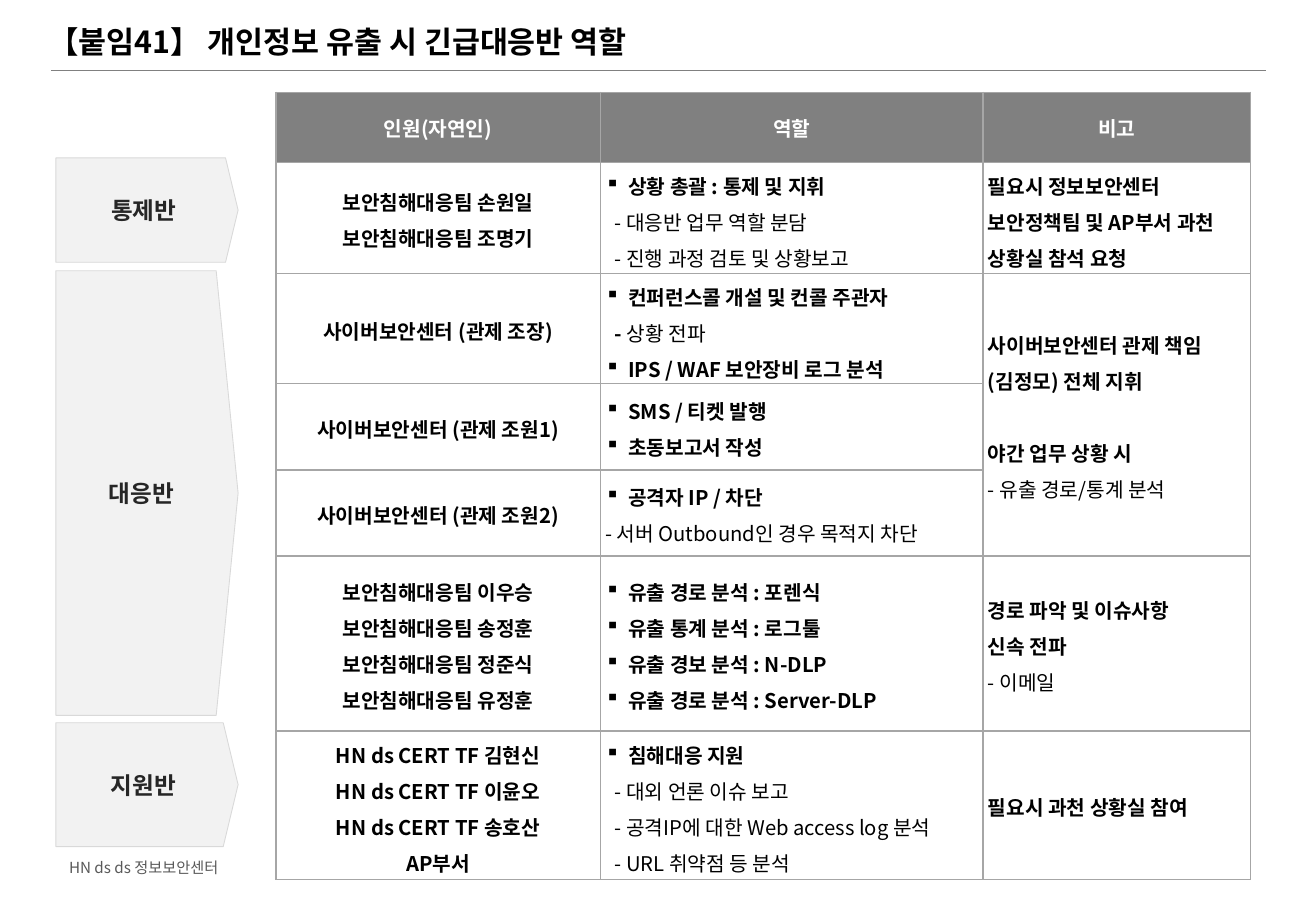
from dataclasses import dataclass

from lxml.etree import SubElement
from pptx import Presentation
from pptx.dml.color import RGBColor
from pptx.enum.shapes import MSO_CONNECTOR, MSO_SHAPE
from pptx.enum.text import MSO_ANCHOR, PP_ALIGN
from pptx.oxml.ns import qn
from pptx.util import Inches, Pt


@dataclass(frozen=True)
class Theme:
    font: str = "Noto Sans CJK KR"
    title_size: int = 18
    team_size: int = 14
    body_size: int = 12
    footer_size: int = 9
    black: str = "000000"
    white: str = "FFFFFF"
    grey: str = "808080"
    border: str = "A6A6A6"
    team_fill: str = "F2F2F2"
    team_line: str = "D9D9D9"
    team_text: str = "262626"
    footer_text: str = "595959"


@dataclass(frozen=True)
class Line:
    """One paragraph of a cell; lead is a bold start before the text."""
    text: str
    bold: bool = True
    bullet: bool = False
    indent: float = 0
    lead: str = ""
    before: float = 2


THEME = Theme()
BULLET_INDENT = 0.19


def point(text):
    return Line(text, bullet=True)


def detail(text, indent=0.08, lead=""):
    return Line(text, bold=False, indent=indent, lead=lead)


def names(*people):
    return [Line(person) for person in people]


HEADINGS = ["인원(자연인)", "역할", "비고"]
COLUMN_WIDTHS = [2.67, 3.15, 2.2]
ROW_HEIGHTS = [0.58, 0.91, 0.91, 0.71, 0.71, 1.44, 1.22]
NIGHT_REMARK_ROWS = (2, 4)
ROLES = [
    [names("보안침해대응팀 손원일", "보안침해대응팀 조명기"),
     [point("상황 총괄 : 통제 및 지휘"),
      detail("- 대응반 업무 역할 분담"),
      detail("- 진행 과정 검토 및 상황보고")],
     [Line("필요시 정보보안센터"), Line("보안정책팀 및 AP부서 과천"),
      Line("상황실 참석 요청")]],
    [names("사이버보안센터 (관제 조장)"),
     [point("컨퍼런스콜 개설 및 컨콜 주관자"),
      detail("상황 전파", lead="- "),
      point("IPS / WAF 보안장비 로그 분석")],
     [Line("사이버보안센터 관제 책임"), Line("(김정모) 전체 지휘"),
      Line("야간 업무 상황 시", before=23.4),
      detail("- 유출 경로/통계 분석", indent=0)]],
    [names("사이버보안센터 (관제 조원1)"),
     [point("SMS / 티켓 발행"), point("초동보고서 작성")],
     []],
    [names("사이버보안센터 (관제 조원2)"),
     [point("공격자 IP / 차단"),
      detail("- 서버 Outbound인 경우 목적지 차단", indent=0)],
     []],
    [names("보안침해대응팀 이우승", "보안침해대응팀 송정훈",
           "보안침해대응팀 정준식", "보안침해대응팀 유정훈"),
     [point("유출 경로 분석 : 포렌식"), point("유출 통계 분석 : 로그툴"),
      point("유출 경보 분석 : N-DLP"), point("유출 경로 분석 : Server-DLP")],
     [Line("경로 파악 및 이슈사항"), Line("신속 전파"),
      detail("- 이메일", indent=0)]],
    [names("HN ds CERT TF 김현신", "HN ds CERT TF 이윤오",
           "HN ds CERT TF 송호산", "AP부서"),
     [point("침해대응 지원"),
      detail("- 대외 언론 이슈 보고"),
      detail("- 공격IP에 대한 Web access log 분석"),
      detail("- URL 취약점 등 분석")],
     [Line("필요시 과천 상황실 참여")]],
]
TEAMS = [("통제반", 1.3, 0.86), ("대응반", 2.23, 3.66), ("지원반", 5.95, 1.02)]


def rgb(value):
    return RGBColor.from_string(value)


def add_text(paragraph, text, *, size, color=THEME.black, bold=False, align=None):
    if align is not None:
        paragraph.alignment = align
    run = paragraph.add_run()
    run.text = text
    run.font.size = Pt(size)
    run.font.bold = bold
    run.font.color.rgb = rgb(color)
    run.font.name = THEME.font
    SubElement(run.font._element, qn("a:ea"), typeface=THEME.font)


def add_label(slide, box, text, **text_format):
    frame = slide.shapes.add_textbox(*map(Inches, box)).text_frame
    frame.word_wrap = True
    frame.vertical_anchor = MSO_ANCHOR.MIDDLE
    add_text(frame.paragraphs[0], text, **text_format)


def add_rule(slide, left, right, y):
    rule = slide.shapes.add_connector(
        MSO_CONNECTOR.STRAIGHT, Inches(left), Inches(y), Inches(right), Inches(y))
    rule.line.color.rgb = rgb(THEME.grey)
    rule.line.width = Pt(1)
    SubElement(rule._element.spPr, qn("a:effectLst"))


def add_team(slide, box, name):
    team = slide.shapes.add_shape(MSO_SHAPE.PENTAGON, *map(Inches, box))
    team.adjustments[0] = 0.12
    team.shadow.inherit = False
    team.fill.solid()
    team.fill.fore_color.rgb = rgb(THEME.team_fill)
    team.line.color.rgb = rgb(THEME.team_line)
    team.line.width = Pt(0.5)
    team.text_frame.word_wrap = False
    team.text_frame.vertical_anchor = MSO_ANCHOR.MIDDLE
    add_text(team.text_frame.paragraphs[0], name, size=THEME.team_size,
             color=THEME.team_text, bold=True, align=PP_ALIGN.CENTER)


def style_cell(cell, fill, margin, top):
    cell.vertical_anchor = MSO_ANCHOR.MIDDLE
    cell.margin_left = cell.margin_right = cell.margin_bottom = Inches(margin)
    cell.margin_top = Inches(top)
    properties = cell._tc.get_or_add_tcPr()
    for side in ("lnL", "lnR", "lnT", "lnB"):
        border = SubElement(properties, qn(f"a:{side}"), w=str(Pt(1)))
        SubElement(SubElement(border, qn("a:solidFill")), qn("a:srgbClr"),
                   val=THEME.border)
    cell.fill.solid()
    cell.fill.fore_color.rgb = rgb(fill)


def indent_paragraph(paragraph, line):
    properties = paragraph._p.get_or_add_pPr()
    if line.bullet:
        properties.set("marL", str(Inches(BULLET_INDENT)))
        properties.set("indent", str(-Inches(BULLET_INDENT)))
        SubElement(properties, qn("a:buChar"), char="▪")
    elif line.indent:
        properties.set("marL", str(Inches(line.indent)))
        properties.set("indent", "0")


def fill_cell(cell, lines, align):
    frame = cell.text_frame
    for number, line in enumerate(lines):
        paragraph = frame.add_paragraph() if number else frame.paragraphs[0]
        indent_paragraph(paragraph, line)
        paragraph.space_before = Pt(line.before if number else 0)
        paragraph.space_after = Pt(2)
        if line.lead:
            add_text(paragraph, line.lead, size=THEME.body_size, bold=True)
        add_text(paragraph, line.text, size=THEME.body_size, bold=line.bold,
                 align=align)


def add_role_table(slide, left, top):
    table = slide.shapes.add_table(
        len(ROW_HEIGHTS), len(COLUMN_WIDTHS), Inches(left), Inches(top),
        Inches(sum(COLUMN_WIDTHS)), Inches(sum(ROW_HEIGHTS))).table
    for column, width in zip(table.columns, COLUMN_WIDTHS):
        column.width = Inches(width)
    for row, height in zip(table.rows, ROW_HEIGHTS):
        row.height = Inches(height)
    for column, heading in enumerate(HEADINGS):
        cell = table.cell(0, column)
        style_cell(cell, THEME.grey, margin=0, top=0)
        add_text(cell.text_frame.paragraphs[0], heading, size=THEME.body_size,
                 color=THEME.white, bold=True, align=PP_ALIGN.CENTER)
    for row, role in enumerate(ROLES, start=1):
        for column, lines in enumerate(role):
            cell = table.cell(row, column)
            style_cell(cell, THEME.white, margin=0.04, top=0.07)
            fill_cell(cell, lines, PP_ALIGN.LEFT if column else PP_ALIGN.CENTER)
    first, last = NIGHT_REMARK_ROWS
    table.cell(first, 2).merge(table.cell(last, 2))


def main():
    presentation = Presentation()
    presentation.slide_width = Inches(10.83)
    presentation.slide_height = Inches(7.5)
    slide = presentation.slides.add_slide(presentation.slide_layouts[6])
    add_rule(slide, 0.42, 10.42, 0.58)
    add_label(slide, (0.47, 7.01, 2.8, 0.26), "HN ds ds 정보보안센터",
              size=THEME.footer_size, color=THEME.footer_text)
    add_label(slide, (0.3, 0.16, 9.29, 0.36),
              "【붙임41】 개인정보 유출 시 긴급대응반 역할",
              size=THEME.title_size, bold=True)
    add_role_table(slide, 2.27, 0.76)
    for name, top, height in TEAMS:
        add_team(slide, (0.46, top, 1.5, height), name)
    presentation.save("out.pptx")


if __name__ == "__main__":
    main()
